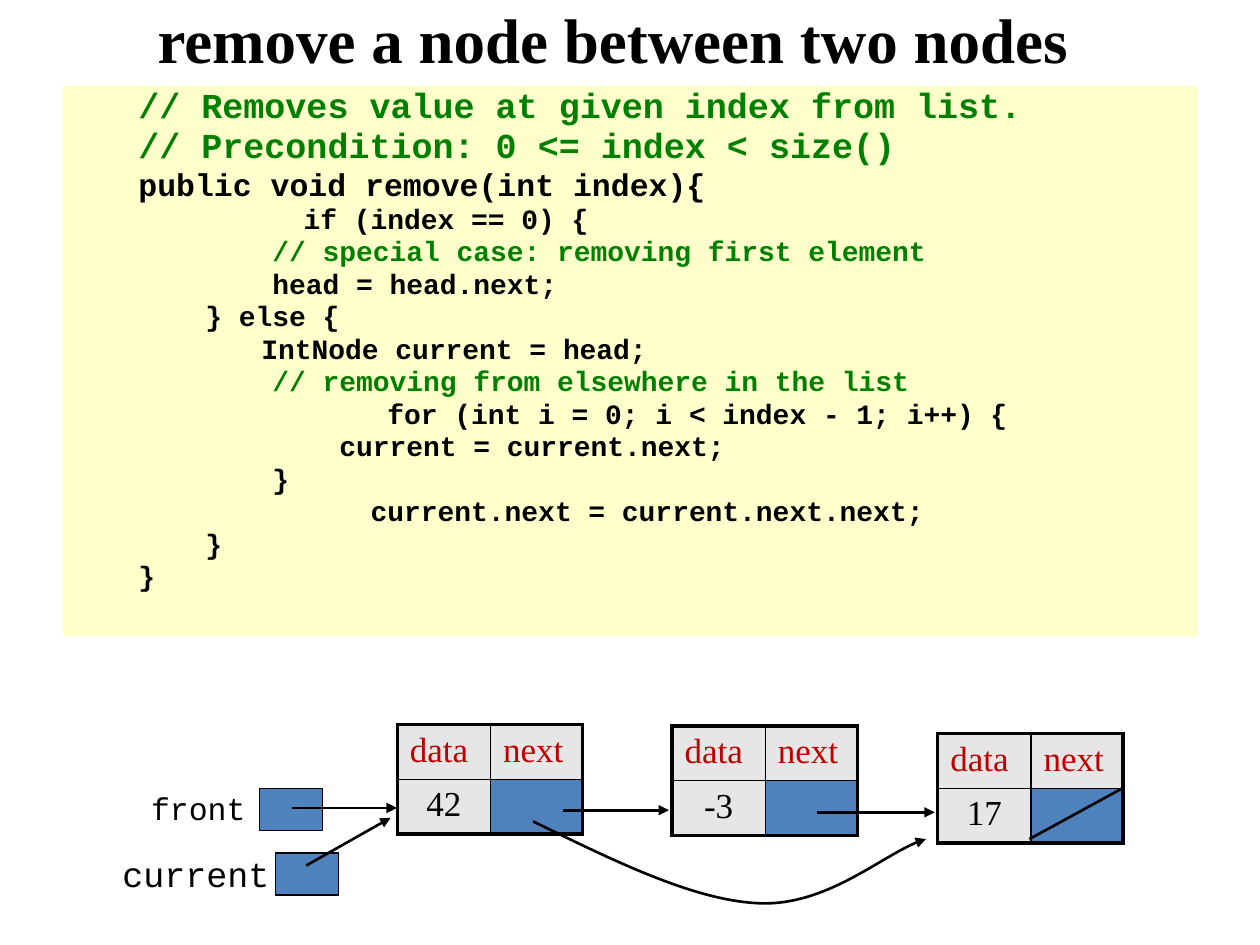
from lxml.etree import SubElement
from pptx import Presentation
from pptx.dml.color import RGBColor
from pptx.enum.shapes import MSO_CONNECTOR, MSO_SHAPE
from pptx.enum.text import MSO_ANCHOR, PP_ALIGN
from pptx.oxml.ns import qn
from pptx.util import Pt

BLACK = RGBColor(0x00, 0x00, 0x00)
GREEN = RGBColor(0x00, 0x80, 0x00)
RED = RGBColor(0xC0, 0x00, 0x00)
BLUE = RGBColor(0x4F, 0x81, 0xBD)
GRAY = RGBColor(0xE6, 0xE6, 0xE6)
CREAM = RGBColor(0xFF, 0xFF, 0xCC)
SERIF = "Times New Roman"
MONO = "Courier New"

CODE = [
    ("// Removes value at given index from list.", 20),
    ("// Precondition: 0 <= index < size()", 20),
    ("public void remove(int index){", 18),
    ("\t\tif (index == 0) {", 16),
    ("        // special case: removing first element", 16),
    ("        head = head.next;", 16),
    ("    } else {", 16),
    ("\t     IntNode current = head;", 16),
    ("        // removing from elsewhere in the list", 16),
    ("\t\t     for (int i = 0; i < index - 1; i++) {", 16),
    ("            current = current.next;", 16),
    ("        }", 16),
    ("\t\t    current.next = current.next.next;", 16),
    ("    }", 16),
    ("}", 16),
]
# value, left, top
NODES = [("42", 227, 414), ("-3", 384, 414.8), ("17", 535.8, 419.2)]
COLUMN_WIDTHS = (53.3, 52.7)
# label, size, label left and top, box left and top
REFERENCES = [
    ("front", 18, 79.2, 446.6, 148.3, 450.7),
    ("current", 20, 62.8, 484.2, 157.5, 487.4),
]
ARROWS = [
    (321.8, 463, 382.3, 463),
    (167, 461.7, 226.8, 461.7),
    (467.1, 464.2, 534.2, 464.2),
    (175, 494.6, 223.2, 467.3),
]
NULL_SLASH = (642.2, 450, 588.2, 479.5)
BYPASS_CURVE = [
    (304.6, 469.4),
    (350.6, 491.8), (396.7, 514.8), (434.2, 516.2),
    (471.6, 517.7), (508.3, 485.3), (529.2, 479.5),
]


def write(paragraph, text, font=SERIF, size=20, color=BLACK, bold=False,
          align=PP_ALIGN.LEFT):
    paragraph.alignment = align
    run = paragraph.add_run()
    run.text = text
    run.font.name = font
    run.font.size = Pt(size)
    run.font.color.rgb = color
    run.font.bold = bold


def add_label(slide, text, left, top, width, height, **text_format):
    label = slide.shapes.add_textbox(Pt(left), Pt(top), Pt(width), Pt(height))
    label.text_frame.vertical_anchor = MSO_ANCHOR.MIDDLE
    write(label.text_frame.paragraphs[0], text, **text_format)


def add_box(slide, left, top, width, height, fill, outlined=True):
    box = slide.shapes.add_shape(MSO_SHAPE.RECTANGLE, Pt(left), Pt(top),
                                 Pt(width), Pt(height))
    box.shadow.inherit = False
    box.fill.solid()
    box.fill.fore_color.rgb = fill
    if outlined:
        box.line.color.rgb = BLACK
        box.line.width = Pt(0.75)
    else:
        box.line.fill.background()
    return box


def add_code(slide):
    panel = add_box(slide, 36, 49, 648, 314.6, CREAM, outlined=False)
    frame = panel.text_frame
    frame.word_wrap = True
    frame.vertical_anchor = MSO_ANCHOR.TOP
    frame.margin_top = Pt(3.2)
    for index, (text, size) in enumerate(CODE):
        paragraph = frame.add_paragraph() if index else frame.paragraphs[0]
        properties = paragraph._p.get_or_add_pPr()
        properties.set("marL", str(Pt(58.5)))
        properties.set("indent", str(Pt(-22.5)))
        properties.set("defTabSz", str(Pt(72)))
        paragraph.line_spacing = 0.8
        if index:
            paragraph.space_before = Pt(round(size * 0.2, 1))
        color = GREEN if text.strip().startswith("//") else BLACK
        write(paragraph, text, font=MONO, size=size, color=color, bold=True)


def set_borders(cell, row, column):
    """Draw thick lines on the outside of a two by two table, thin inside."""
    thick_sides = ("lnR" if column else "lnL", "lnB" if row else "lnT")
    properties = cell._tc.get_or_add_tcPr()
    for side in ("lnL", "lnR", "lnT", "lnB"):
        width = Pt(2.25) if side in thick_sides else Pt(1)
        line = SubElement(properties, qn("a:" + side), w=str(width))
        fill = SubElement(line, qn("a:solidFill"))
        SubElement(fill, qn("a:srgbClr"), val=str(BLACK))


def add_node(slide, value, left, top):
    frame = slide.shapes.add_table(2, 2, Pt(left), Pt(top), Pt(106), Pt(62.6))
    table = frame.table
    table.first_row = False
    table.horz_banding = False
    for column, width in enumerate(COLUMN_WIDTHS):
        table.columns[column].width = Pt(width)
    for row, texts in enumerate([("data", "next"), (value, "")]):
        table.rows[row].height = Pt(31.3)
        for column, text in enumerate(texts):
            cell = table.cell(row, column)
            set_borders(cell, row, column)
            cell.fill.solid()
            cell.fill.fore_color.rgb = GRAY if text else BLUE
            if text:
                write(cell.text_frame.paragraphs[0], text,
                      color=BLACK if row else RED,
                      align=PP_ALIGN.CENTER if row else PP_ALIGN.LEFT)


def style_line(shape, arrow=True):
    shape.line.color.rgb = BLACK
    shape.line.width = Pt(1.5)
    if arrow:
        SubElement(shape.line._get_or_add_ln(), qn("a:tailEnd"), type="triangle")


def add_line(slide, start_x, start_y, end_x, end_y, arrow=True):
    line = slide.shapes.add_connector(MSO_CONNECTOR.STRAIGHT, Pt(start_x),
                                      Pt(start_y), Pt(end_x), Pt(end_y))
    style_line(line, arrow)
    SubElement(line._element.spPr, qn("a:effectLst"))


def add_curve(slide, points):
    """Draw a start point followed by triples of Bezier points."""
    start, *rest = [(Pt(x), Pt(y)) for x, y in points]
    builder = slide.shapes.build_freeform(*start)
    builder.add_line_segments(rest, close=False)
    curve = builder.convert_to_shape()
    curve.shadow.inherit = False
    curve.fill.background()
    style_line(curve)
    outline = next(curve._element.iter(qn("a:path")))
    segments = outline.findall(qn("a:lnTo"))
    for first in range(0, len(segments), 3):
        bezier = SubElement(outline, qn("a:cubicBezTo"))
        for segment in segments[first:first + 3]:
            bezier.append(segment[0])
            outline.remove(segment)


def main():
    presentation = Presentation()
    presentation.slide_width = Pt(720)
    presentation.slide_height = Pt(540)
    slide = presentation.slides.add_slide(presentation.slide_layouts[6])

    add_label(slide, "remove a node between two nodes", 26.2, 0.5, 648, 43.2,
              size=36, bold=True, align=PP_ALIGN.CENTER)
    add_code(slide)
    for node in NODES:
        add_node(slide, *node)
    for text, size, left, top, box_left, box_top in REFERENCES:
        add_box(slide, box_left, box_top, 36, 24, BLUE)
        add_label(slide, text, left, top, 99, 30, font=MONO, size=size)
    for arrow in ARROWS:
        add_line(slide, *arrow)
    add_line(slide, *NULL_SLASH, arrow=False)
    add_curve(slide, BYPASS_CURVE)

    presentation.save("out.pptx")


if __name__ == "__main__":
    main()
